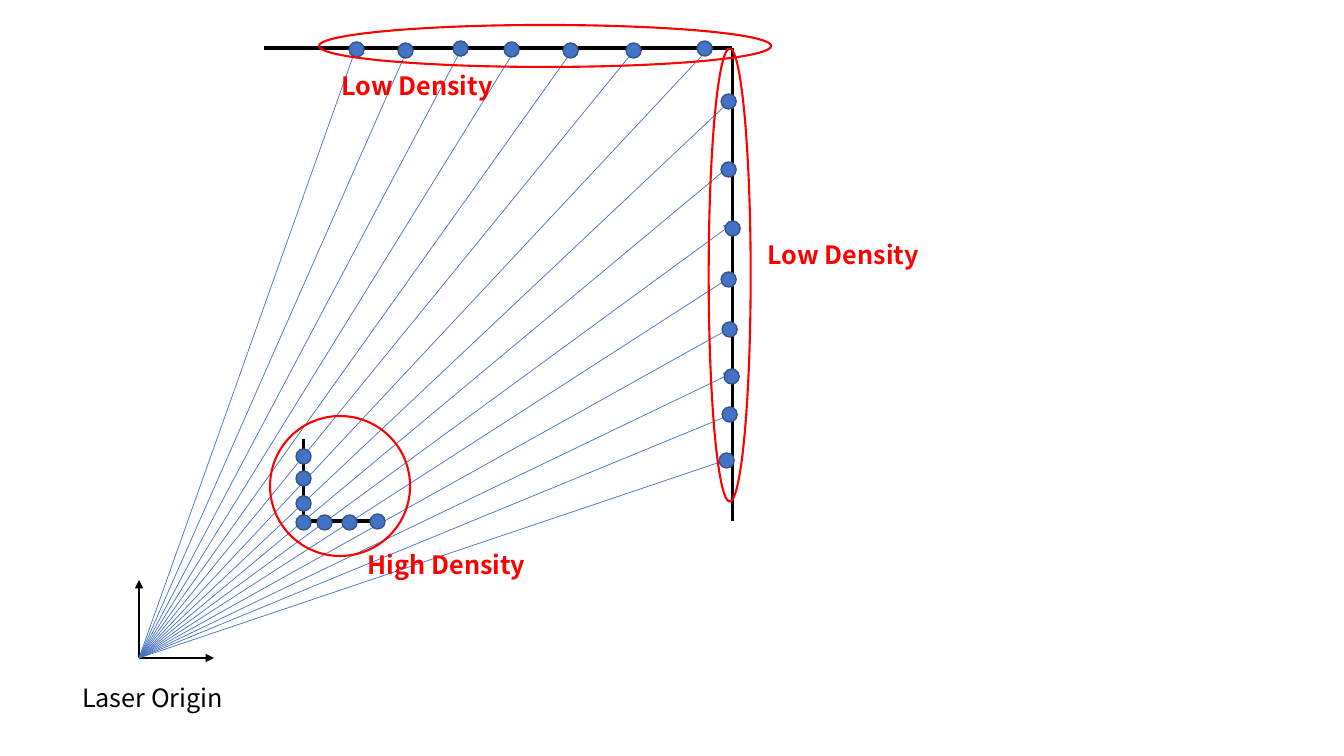
import pptx
import pptx.util
import pptx.dml.color
import pptx.enum.shapes
import pptx.enum.text
import pptx.oxml.ns
import lxml.etree

SCALE = 914400 / 100.8
FONT = "Noto Sans CJK JP"
BLACK, BLUE, NAVY, RED = "000000", "4472C4", "325491", "FF0000"
DOT = 15
ORIGIN = (139, 658)
CORNER = (732, 48)

TOP_RAYS = [356, 408, 462, 516, 574, 636, 709]
SIDE_RAYS = [99, 164, 224, 276, 327, 373, 414, 458]
FAR_DOTS = [
    (356, 49), (405, 50), (460, 48), (511, 49), (570, 50), (633, 50),
    (704, 48), (728, 101), (728, 169), (732, 228), (728, 279), (729, 329),
    (731, 376), (729, 414), (726, 460),
]
NEAR_DOTS = [
    (303, 456), (303, 478), (303, 503), (303, 522),
    (324, 522), (349, 522), (377, 521),
]
RINGS = [
    ((270, 416, 140, 140), 0),
    ((319, 25, 452, 42), 0),
    ((503, 254, 453, 42), 90),
]
LABELS = [
    ("High Density", (357, 544, 179, 40)),
    ("Low Density", (756, 234, 174, 40)),
    ("Low Density", (330, 65, 174, 40)),
]


def emu(*pixels):
    """Turn pixels into EMU lengths."""
    return [pptx.util.Emu(round(p * SCALE)) for p in pixels]


def color(code):
    """Turn a hex string into a colour."""
    return pptx.dml.color.RGBColor.from_string(code)


def add_line(shapes, start, end, code, width, arrow=False):
    """Draw a straight line, with an arrowhead at its end if asked."""
    kind = pptx.enum.shapes.MSO_CONNECTOR.STRAIGHT
    line = shapes.add_connector(kind, *emu(*start, *end))
    line.line.color.rgb = color(code)
    line.line.width = pptx.util.Pt(width)
    qn = pptx.oxml.ns.qn
    if arrow:
        outline = line.line._get_or_add_ln()
        lxml.etree.SubElement(outline, qn("a:tailEnd"), type="triangle")
    props = line._element.spPr
    lxml.etree.SubElement(props, qn("a:effectLst"))


def add_oval(shapes, box, code, width, fill=None, turn=0):
    """Draw an ellipse, hollow unless a fill is given."""
    kind = pptx.enum.shapes.MSO_SHAPE.OVAL
    oval = shapes.add_shape(kind, *emu(*box))
    oval.shadow.inherit = False
    oval.rotation = turn
    oval.line.color.rgb = color(code)
    oval.line.width = pptx.util.Pt(width)
    if fill:
        oval.fill.solid()
        oval.fill.fore_color.rgb = color(fill)
    else:
        oval.fill.background()


def add_dots(shapes, spots):
    """Draw a laser hit centred on each spot."""
    for x, y in spots:
        box = (x - DOT // 2, y - DOT // 2, DOT, DOT)
        add_oval(shapes, box, NAVY, 1, fill=BLUE)


def add_text(shapes, text, box, size=18, code=BLACK, bold=False):
    """Add one centred line of text."""
    frame = shapes.add_textbox(*emu(*box)).text_frame
    frame.word_wrap = False
    frame.auto_size = pptx.enum.text.MSO_AUTO_SIZE.SHAPE_TO_FIT_TEXT
    para = frame.paragraphs[0]
    para.alignment = pptx.enum.text.PP_ALIGN.CENTER
    run = para.add_run()
    run.text = text
    run.font.name = FONT
    run.font.size = pptx.util.Pt(size)
    run.font.bold = bold
    run.font.color.rgb = color(code)


def main():
    """Build the slide on laser point density."""
    deck = pptx.Presentation()
    deck.slide_width = pptx.util.Inches(13.33)
    deck.slide_height = pptx.util.Inches(7.5)
    shapes = deck.slides.add_slide(deck.slide_layouts[6]).shapes

    axes = shapes.add_group_shape().shapes
    for tip in [(214, 658), (139, 580)]:
        add_line(axes, ORIGIN, tip, BLACK, 1, arrow=True)
    add_text(shapes, "Laser Origin", (71, 677, 163, 40))

    for end in [(264, 48), (732, 521)]:
        add_line(shapes, CORNER, end, BLACK, 2.25)
    hits = [(x, CORNER[1]) for x in TOP_RAYS]
    hits += [(CORNER[0], y) for y in SIDE_RAYS]
    for hit in hits:
        add_line(shapes, ORIGIN, hit, BLUE, 0.5, arrow=True)
    add_dots(shapes, FAR_DOTS)

    for end in [(303, 439), (381, 521)]:
        add_line(shapes, (303, 521), end, BLACK, 2.25)
    add_dots(shapes, NEAR_DOTS)

    for box, turn in RINGS:
        add_oval(shapes, box, RED, 1.5, turn=turn)
    for text, box in LABELS:
        add_text(shapes, text, box, code=RED, bold=True)
    deck.save("out.pptx")


main()
